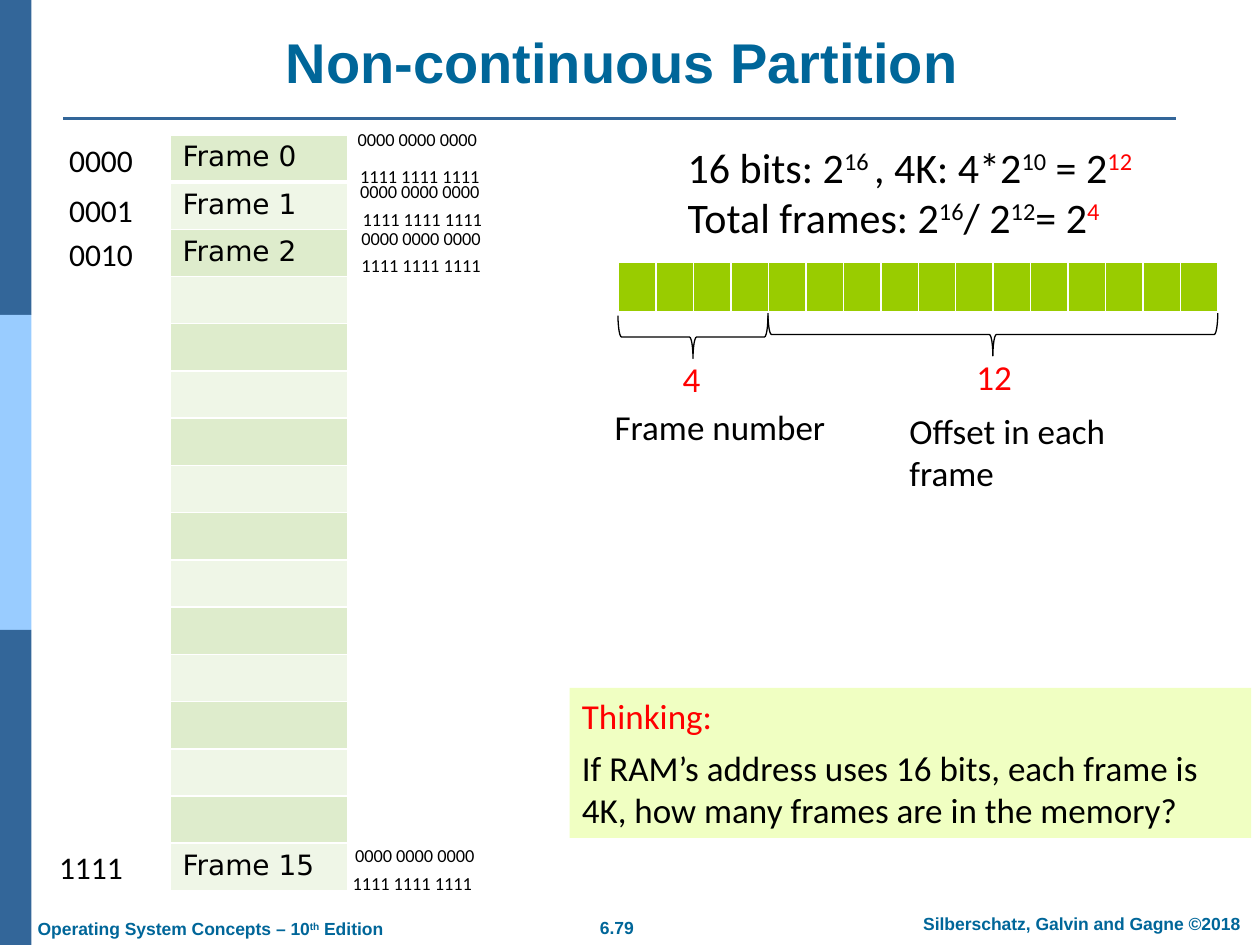
from lxml import etree
from pptx import Presentation
from pptx.dml.color import RGBColor
from pptx.enum.shapes import MSO_CONNECTOR, MSO_SHAPE
from pptx.enum.text import MSO_ANCHOR, PP_ALIGN
from pptx.oxml import parse_xml
from pptx.oxml.ns import nsdecls, qn
from pptx.util import Inches, Pt

RECT = MSO_SHAPE.RECTANGLE
BRACE = MSO_SHAPE.RIGHT_BRACE
LINE = MSO_CONNECTOR.STRAIGHT
LEFT, CENTER = PP_ALIGN.LEFT, PP_ALIGN.CENTER
TOP, BOTTOM = MSO_ANCHOR.TOP, MSO_ANCHOR.BOTTOM

BLACK = RGBColor(0, 0, 0)
RED = RGBColor(0xFF, 0, 0)
TEAL = RGBColor(0, 0x66, 0x99)
NAVY = RGBColor(0x33, 0x66, 0x99)
SKY = RGBColor(0x99, 0xCC, 0xFF)
LIME = RGBColor(0x99, 0xCC, 0)
PALE = RGBColor(0xF0, 0xFF, 0xC2)
MINT = RGBColor(0xDE, 0xEC, 0xCC)
MIST = RGBColor(0xEF, 0xF6, 0xE7)

COUNT = 16
LOW, HIGH = "0000 0000 0000", "1111 1111 1111"


def place(*vals):
    return [Inches(v) for v in vals]


def style(run, size, color=BLACK, font="Calibri", bold=False, sup=False):
    run.font.size = Pt(size)
    run.font.name = font
    run.font.bold = bold
    run.font.color.rgb = color
    if sup:
        run._r.get_or_add_rPr().set("baseline", "30000")


def add_runs(para, parts, size, **look):
    for text, extra in parts:
        run = para.add_run()
        run.text = text
        style(run, size, **{**look, **extra})


def add_text(slide, at, lines, size, align=LEFT, anchor=TOP, wrap=False, **look):
    frame = slide.shapes.add_textbox(*place(*at)).text_frame
    frame.word_wrap = wrap
    frame.vertical_anchor = anchor
    for i, parts in enumerate(lines):
        para = frame.add_paragraph() if i else frame.paragraphs[0]
        para.alignment = align
        add_runs(para, parts, size, **look)


def add_label(slide, at, text, size, **look):
    add_text(slide, at, [[(text, {})]], size, **look)


def add_rect(slide, at, color):
    shape = slide.shapes.add_shape(RECT, *place(*at))
    shape.shadow.inherit = False
    shape.fill.solid()
    shape.fill.fore_color.rgb = color
    shape.line.fill.background()
    return shape


def add_brace(slide, at):
    shape = slide.shapes.add_shape(BRACE, *place(*at))
    shape.shadow.inherit = False
    shape.rotation = 90
    shape.fill.background()
    shape.line.color.rgb = BLACK
    shape.line.width = Pt(0.75)


def add_rule(slide, left, right, y):
    rule = slide.shapes.add_connector(LINE, *place(left, y, right, y))
    rule.line.color.rgb = NAVY
    rule.line.width = Pt(1.5)
    etree.SubElement(rule._element.spPr, qn("a:effectLst"))


def set_cell(cell, color, thick):
    props = cell._tc.get_or_add_tcPr()
    for side in "LRTB":
        width = Pt(3 if side == "B" and thick else 1)
        props.append(parse_xml(
            f'<a:ln{side} {nsdecls("a")} w="{width}"><a:solidFill>'
            f'<a:srgbClr val="FFFFFF"/></a:solidFill></a:ln{side}>'))
    cell.fill.solid()
    cell.fill.fore_color.rgb = color
    cell.margin_top = cell.margin_bottom = Inches(0.03)


def add_grid(slide, at, rows, cols, colors):
    table = slide.shapes.add_table(rows, cols, *place(*at)).table
    table.first_row = table.horz_banding = False
    for r in range(rows):
        for c in range(cols):
            set_cell(table.cell(r, c), colors[r % len(colors)], r == 0)
    return table


def add_master(slide):
    for top, color in ((0, NAVY), (2.5, SKY), (5, NAVY)):
        add_rect(slide, (0, top, 0.25, 2.5), color)
    add_rule(slide, 0.5, 9.33, 0.94)
    look = dict(color=TEAL, font="Arial", bold=True)
    add_label(slide, (4.65, 7.23, 0.49, 0.27), "6.79", 10, align=CENTER, **look)
    add_label(slide, (7.1, 7.2, 2.97, 0.27), "Silberschatz, Galvin and Gagne ©2018",
              10, align=CENTER, wrap=True, **look)
    book = [("Operating System Concepts – 10", {}), ("th", {"sup": True}),
            (" Edition", {})]
    add_text(slide, (0.2, 7.24, 2.99, 0.27), [book], 10, **look)
    add_label(slide, (0.5, 0.17, 9, 0.63), "Non-continuous Partition ", 32,
              align=CENTER, anchor=BOTTOM, wrap=True, **look)


def add_frames(slide):
    table = add_grid(slide, (1.35, 1.07, 1.41, 6), COUNT, 1, (MINT, MIST))
    for row in (0, 1, 2, COUNT - 1):
        cell = table.cell(row, 0)
        cell.margin_top = cell.margin_bottom = Inches(0.05)
        cell.text = f"Frame {row}"
        style(cell.text_frame.paragraphs[0].runs[0], 16, font="DejaVu Sans")
    for left, top, text in ((0.45, 1.07, "0000"), (0.45, 1.47, "0001"),
                            (0.45, 1.82, "0010"), (0.37, 6.68, "1111")):
        add_label(slide, (left, top, 0.71, 0.4), text, 18)
    for first, last in (((2.74, 0.97), (2.76, 1.26)), ((2.76, 1.38), (2.78, 1.6)),
                        ((2.77, 1.75), (2.77, 1.97)), ((2.72, 6.65), (2.7, 6.87))):
        add_label(slide, (*first, 1.17, 0.28), LOW, 10.5)
        add_label(slide, (*last, 1.17, 0.28), HIGH, 10.5)


def add_bits(slide):
    sup = {"sup": True}
    red = {"sup": True, "color": RED}
    sums = [
        [("16 bits: 2", {}), ("16 ", sup), (", 4K: 4*2", {}), ("10", sup),
         (" = 2", {}), ("12", red)],
        [("Total frames: 2", {}), ("16", sup), ("/ 2", {}), ("12", sup),
         ("= 2", {}), ("4", red)],
    ]
    add_text(slide, (5.36, 1.07, 3.83, 0.91), sums, 24)
    add_grid(slide, (4.91, 2.08, 4.76, 0.41), 1, COUNT, (LIME,))
    add_brace(slide, (7.71, 0.87, 0.34, 3.57))
    add_brace(slide, (5.33, 2.08, 0.34, 1.19))
    add_label(slide, (7.65, 2.77, 0.49, 0.44), "12", 20, color=RED)
    add_label(slide, (5.32, 2.79, 0.58, 0.44), "4", 20, color=RED, wrap=True)
    add_label(slide, (4.78, 3.17, 1.87, 0.44), "Frame number", 20)
    add_label(slide, (7.12, 3.2, 2.4, 0.44), "Offset in each frame", 20, wrap=True)


def add_task(slide):
    frame = add_rect(slide, (4.52, 5.46, 5.41, 1.19), PALE).text_frame
    frame.word_wrap = True
    frame.vertical_anchor = TOP
    frame.text = ("Thinking:\nIf RAM’s address uses 16 bits, each frame is 4K, "
                  "how many frames are in the memory?")
    for para, color in zip(frame.paragraphs, (RED, BLACK)):
        para.alignment = LEFT
        style(para.runs[0], 20, color)
    frame.paragraphs[0].space_after = Pt(6)


def main():
    deck = Presentation()
    deck.slide_width, deck.slide_height = place(10, 7.5)
    slide = deck.slides.add_slide(deck.slide_layouts[6])
    add_master(slide)
    add_task(slide)
    add_frames(slide)
    add_bits(slide)
    deck.save("out.pptx")


if __name__ == "__main__":
    main()
